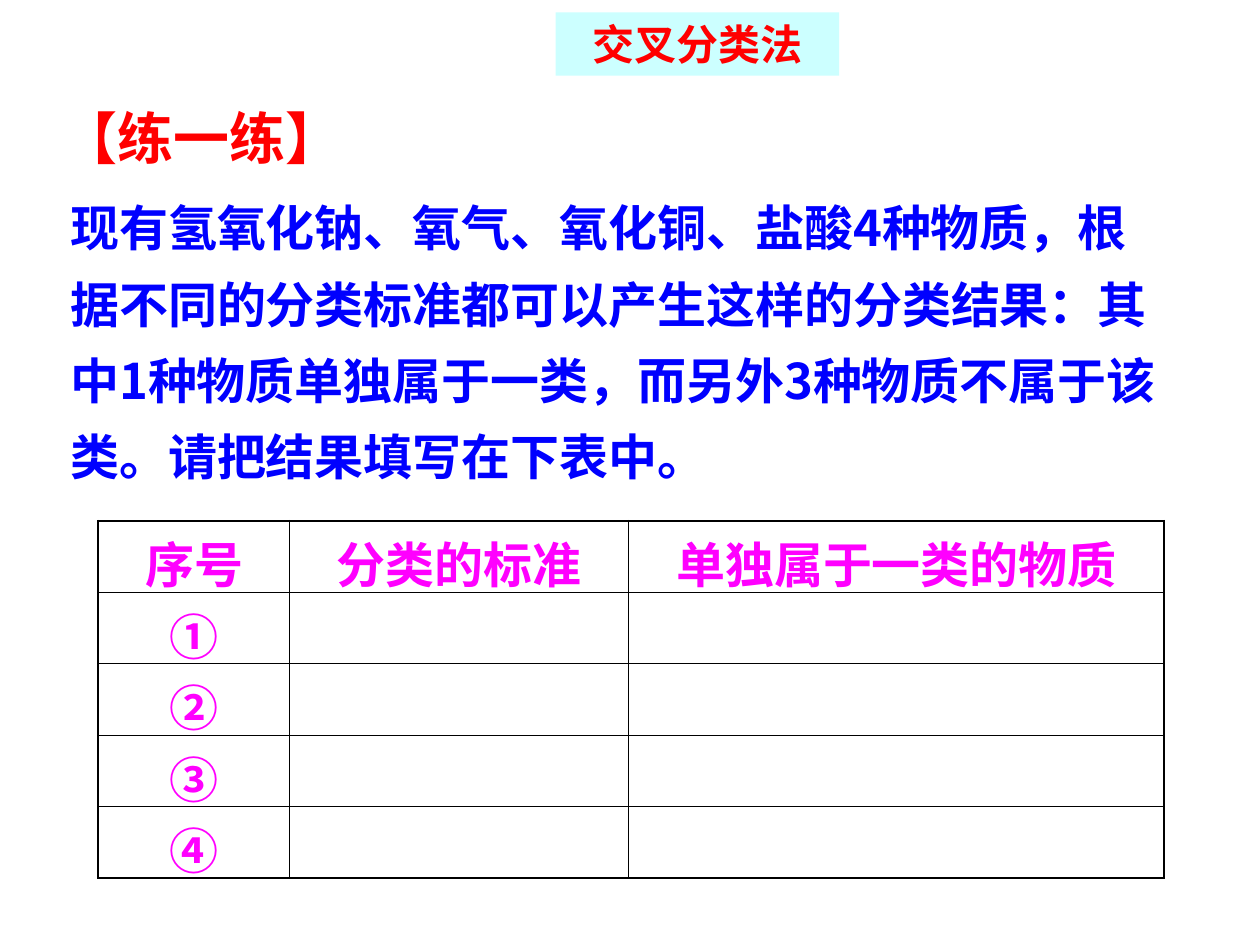
from pptx import Presentation
from pptx.dml.color import RGBColor
from pptx.enum.text import MSO_ANCHOR as Anchor, MSO_AUTO_SIZE as AutoSize, PP_ALIGN as Align
from pptx.oxml.ns import qn
from pptx.util import Inches, Pt
from lxml.etree import SubElement

CJK_FONT = "Noto Sans CJK SC"
RED, BLUE, MAGENTA, BLACK, CYAN = "FF0000", "0000FF", "FF00FF", "000000", "CCFFFF"
TITLE = "交叉分类法"
EXERCISE = "【练一练】"
QUESTION = (
    "现有氢氧化钠、氧气、氧化铜、盐酸4种物质，根据不同的分类标准都可以产生这样的分类结果："
    "其中1种物质单独属于一类，而另外3种物质不属于该类。请把结果填写在下表中。"
)
HEADINGS = ["序号", "分类的标准", "单独属于一类的物质"]
NUMBERS = ["①", "②", "③", "④"]


def color(value):
    return RGBColor.from_string(value)


class ExerciseSlide:
    def __init__(self, presentation, width=10, height=7.5):
        presentation.slide_width = Inches(width)
        presentation.slide_height = Inches(height)
        self.width, self.height = presentation.slide_width, presentation.slide_height
        self.slide = presentation.slides.add_slide(presentation.slide_layouts[5])

    def box(self, left, top, width, height):
        return (round(left * self.width), round(top * self.height),
                round(width * self.width), round(height * self.height))

    def add_text(self, paragraph, text, size, ink, font=CJK_FONT, align=Align.LEFT):
        paragraph.alignment = align
        run = paragraph.add_run()
        run.text = text
        run.font.size, run.font.bold, run.font.name = Pt(size), True, font
        run.font.color.rgb = color(ink)
        SubElement(run.font._element, qn("a:ea")).set("typeface", CJK_FONT)

    def title(self, text, area, fill):
        shape = self.slide.shapes.title
        shape.left, shape.top, shape.width, shape.height = self.box(*area)
        shape.fill.solid()
        shape.fill.fore_color.rgb = color(fill)
        frame = shape.text_frame
        frame.auto_size, frame.vertical_anchor = AutoSize.NONE, Anchor.MIDDLE
        self.add_text(frame.paragraphs[0], text, 24, RED, align=Align.CENTER)

    def text(self, text, area, size, ink, spacing=None):
        frame = self.slide.shapes.add_textbox(*self.box(*area)).text_frame
        frame.word_wrap = True
        paragraph = frame.paragraphs[0]
        paragraph.line_spacing = spacing
        self.add_text(paragraph, text, size, ink)

    def borders(self, cell, edges):
        properties = cell._tc.get_or_add_tcPr()
        for position, (side, outer) in enumerate(edges.items()):
            line = properties.makeelement(qn(f"a:{side}"), {"w": str(Pt(1.08 if outer else 0.45))})
            fill = SubElement(line, qn("a:solidFill"))
            SubElement(fill, qn("a:srgbClr")).set("val", BLACK)
            properties.insert(position, line)

    def table(self, rows, area, widths, heights):
        last_row, last_column = len(rows) - 1, len(widths) - 1
        table = self.slide.shapes.add_table(len(rows), len(widths), *self.box(*area)).table
        table.first_row = table.horz_banding = False
        for column, width in zip(table.columns, widths):
            column.width = Inches(width)
        for row, height in zip(table.rows, heights):
            row.height = Inches(height)
        for i, values in enumerate(rows):
            for j, value in enumerate(values):
                cell = table.cell(i, j)
                cell.fill.background()
                cell.vertical_anchor = Anchor.MIDDLE
                cell.margin_left = cell.margin_right = Inches(0.2)
                self.borders(cell, {"lnL": j == 0, "lnR": j == last_column,
                                    "lnT": i == 0, "lnB": i == last_row})
                if value:
                    self.add_text(cell.text_frame.paragraphs[0], value, 28, MAGENTA,
                                  CJK_FONT if i else "Arial", Align.CENTER)


def main():
    presentation = Presentation()
    page = ExerciseSlide(presentation)
    page.title(TITLE, (0.441, 0.013, 0.225, 0.067), CYAN)
    page.text(EXERCISE, (0.039, 0.103, 0.401, 0.085), 32, RED)
    page.text(QUESTION, (0.046, 0.184, 0.894, 0.337), 28, BLUE, 1.3)
    rows = [HEADINGS] + [[number, "", ""] for number in NUMBERS]
    page.table(rows, (0.078, 0.551, 0.846, 0.344), [1.52, 2.69, 4.25], [0.51, 0.51, 0.51, 0.55, 0.51])
    presentation.save("out.pptx")


if __name__ == "__main__":
    main()
